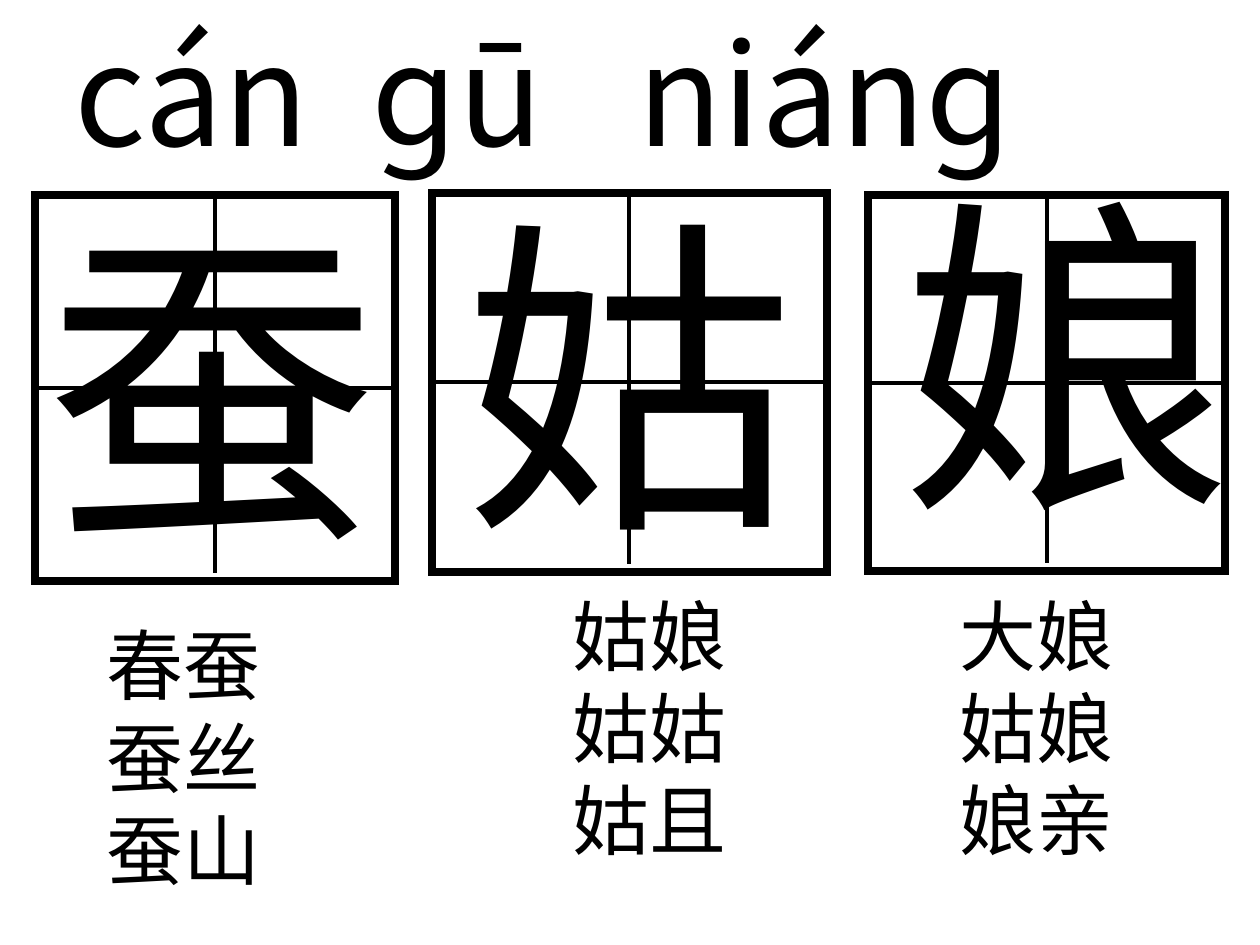
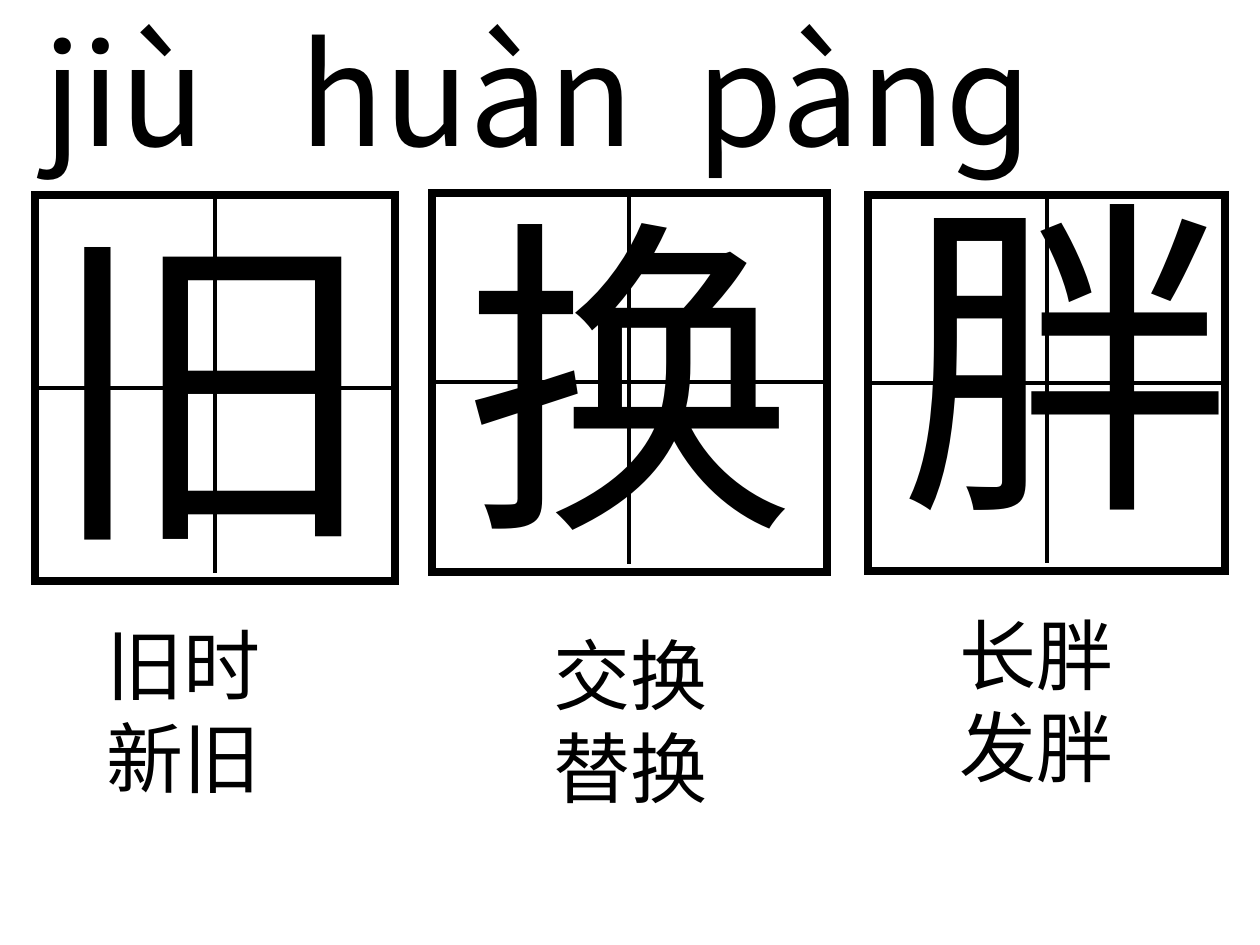
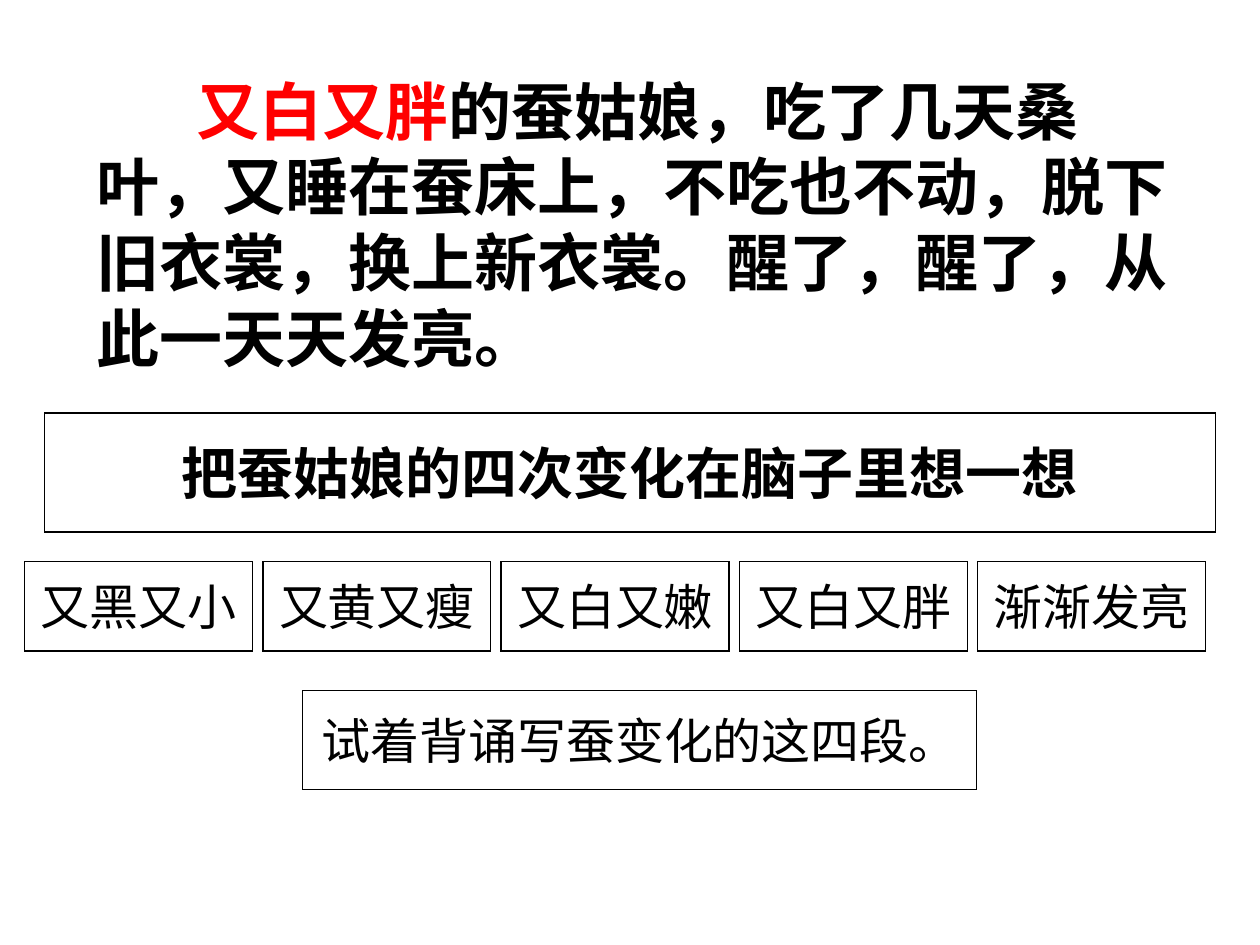
from lxml import etree
from pptx import Presentation
from pptx import util as u
from pptx.dml import color
from pptx.enum import shapes, text
from pptx.oxml import ns

BLACK, RED = "000000", "FF0000"
BODY, PINYIN = "Arial", "Noto Sans CJK SC"
TITLE_ONLY, BLANK = 5, 6
LETTER_SIZE, WORD_SIZE = 190, 44

CELLS = [
    ((19.8, 111.6, 206, 220.6), 216, (19.6, 100, 235.4, 235.4)),
    ((246.6, 110.2, 226, 216.6), 212.2, (257.8, 94.4, 278.6, 235.4)),
    ((496.2, 111.6, 204, 214.8), 210.4, (507.6, 82.8, 212.4, 235.4)),
]

LESSONS = [
    ("\tcán\tɡū\tniánɡ", (35.6, 205, 357), "蚕姑娘", [
        ("春蚕蚕丝蚕山", (54, 349.5, 124.6, 165.6)),
        ("姑娘姑姑姑且", (320, 332.6, 124.6, 165.6)),
        ("大娘姑娘娘亲", (541.4, 332.6, 113, 165.6)),
    ]),
    ("\tjiù\thuàn\tpànɡ", (17.5, 164, 391), "旧换胖", [
        ("旧时新旧", (54, 349.5, 124.6, 113)),
        ("交换替换", (309.4, 355.3, 124.6, 113)),
        ("长胖发胖", (541.4, 343.7, 113, 113)),
    ]),
]

CHANGES = ["又黑又小", "又黄又瘦", "又白又嫩", "又白又胖", "渐渐发亮"]
STORY = [
    ("又白又胖", RED),
    ("的蚕姑娘，吃了几天桑叶，又睡在蚕床上，不吃也不动，脱下旧衣裳，"
     "换上新衣裳。醒了，醒了，从此一天天发亮。", BLACK),
]


def rgb(value):
    return color.RGBColor.from_string(value)


def points(values):
    return [u.Pt(value) for value in values]


def write(frame, spans, size, font=BODY, bold=False, align=text.PP_ALIGN.LEFT,
          anchor=text.MSO_ANCHOR.TOP, wrap=True, indent=0, tabs=()):
    frame.word_wrap = wrap
    frame.auto_size = text.MSO_AUTO_SIZE.NONE
    frame.vertical_anchor = anchor
    frame.margin_left = frame.margin_right = u.Pt(7.2)
    frame.margin_top = frame.margin_bottom = u.Pt(3.6)
    para = frame.paragraphs[0]
    para.alignment = align
    para.space_before = u.Pt(0)
    properties = para._p.get_or_add_pPr()
    properties.set("hangingPunct", "0")
    if indent:
        properties.set("indent", str(u.Pt(indent)))
    if tabs:
        stops = etree.SubElement(properties, ns.qn("a:tabLst"))
        for tab in tabs:
            etree.SubElement(stops, ns.qn("a:tab"), pos=str(u.Pt(tab)), algn="l")
    for words, ink in spans:
        span = para.add_run()
        span.text = words
        span.font.size = u.Pt(size)
        span.font.name = font
        span.font.bold = bold
        span.font.color.rgb = rgb(ink)
        etree.SubElement(span._r.get_or_add_rPr(), ns.qn("a:ea"), typeface=font)


class Page:
    def __init__(self, deck, layout):
        self.slide = deck.slides.add_slide(deck.slide_layouts[layout])
        self.shapes = self.slide.shapes

    def title(self, words, place, **style):
        title = self.shapes.title
        title.left, title.top, title.width, title.height = points(place)
        write(title.text_frame, [(words, BLACK)], **style)

    def label(self, spans, place, parent=None, **style):
        box = (parent or self.shapes).add_textbox(*points(place))
        write(box.text_frame, spans, **style)

    def box(self, place, weight, parent=None):
        box = (parent or self.shapes).add_shape(
            shapes.MSO_SHAPE.RECTANGLE, *points(place))
        box.shadow.inherit = False
        box.fill.background()
        box.line.color.rgb = rgb(BLACK)
        box.line.width = u.Pt(weight)
        outline = box._element.spPr.find(ns.qn("a:ln"))
        etree.SubElement(outline, ns.qn("a:miter"), lim="800000")
        return box

    def framed(self, words, place, size, bold=False):
        box = self.box(place, 0.75)
        write(box.text_frame, [(words, BLACK)], size=size, bold=bold, wrap=False,
              align=text.PP_ALIGN.CENTER, anchor=text.MSO_ANCHOR.MIDDLE)

    def line(self, start, end, parent):
        line = parent.add_connector(shapes.MSO_CONNECTOR.STRAIGHT,
                                    *points(start + end))
        line.line.color.rgb = rgb(BLACK)
        line.line.width = u.Pt(2.25)
        etree.SubElement(line._element.spPr, ns.qn("a:effectLst"))
        return line

    def cell(self, letter, place, drop, letter_place):
        group = self.shapes.add_group_shape().shapes
        left, top, width, height = place
        middle, centre = top + height / 2, left + width / 2
        square = self.box(place, 4.5, group)
        across = self.line((left, middle), (left + width, middle), group)
        across.begin_connect(square, 1)
        across.end_connect(square, 3)
        down = self.line((centre, top), (centre, top + drop), group)
        down.begin_connect(square, 0)
        self.label([(letter, BLACK)], letter_place, group, size=LETTER_SIZE)


def add_lesson(deck, pinyin, tabs, letters, words):
    page = Page(deck, TITLE_ONLY)
    page.title(pinyin, (0, 0, 720, 103.6), size=80, font=PINYIN, tabs=tabs)
    for letter, cell in zip(letters, CELLS):
        page.cell(letter, *cell)
    for phrase, place in words:
        page.label([(phrase, BLACK)], place, size=WORD_SIZE)


def add_story(deck):
    page = Page(deck, BLANK)
    page.label(STORY, (48.2, 37.8, 646.6, 180), size=36, bold=True, indent=57)
    page.framed("把蚕姑娘的四次变化在脑子里想一想",
                (25.4, 236, 669, 68), size=32, bold=True)
    for index, change in enumerate(CHANGES):
        page.framed(change, (14.1 + index * 136.1, 320.9, 130.3, 51.2), size=28)
    page.framed("试着背诵写蚕变化的这四段。", (172.8, 394.4, 385.4, 56.8), size=28)


def main():
    deck = Presentation()
    deck.slide_width, deck.slide_height = u.Pt(720), u.Pt(540)
    for lesson in LESSONS:
        add_lesson(deck, *lesson)
    add_story(deck)
    deck.save("out.pptx")


if __name__ == "__main__":
    main()
